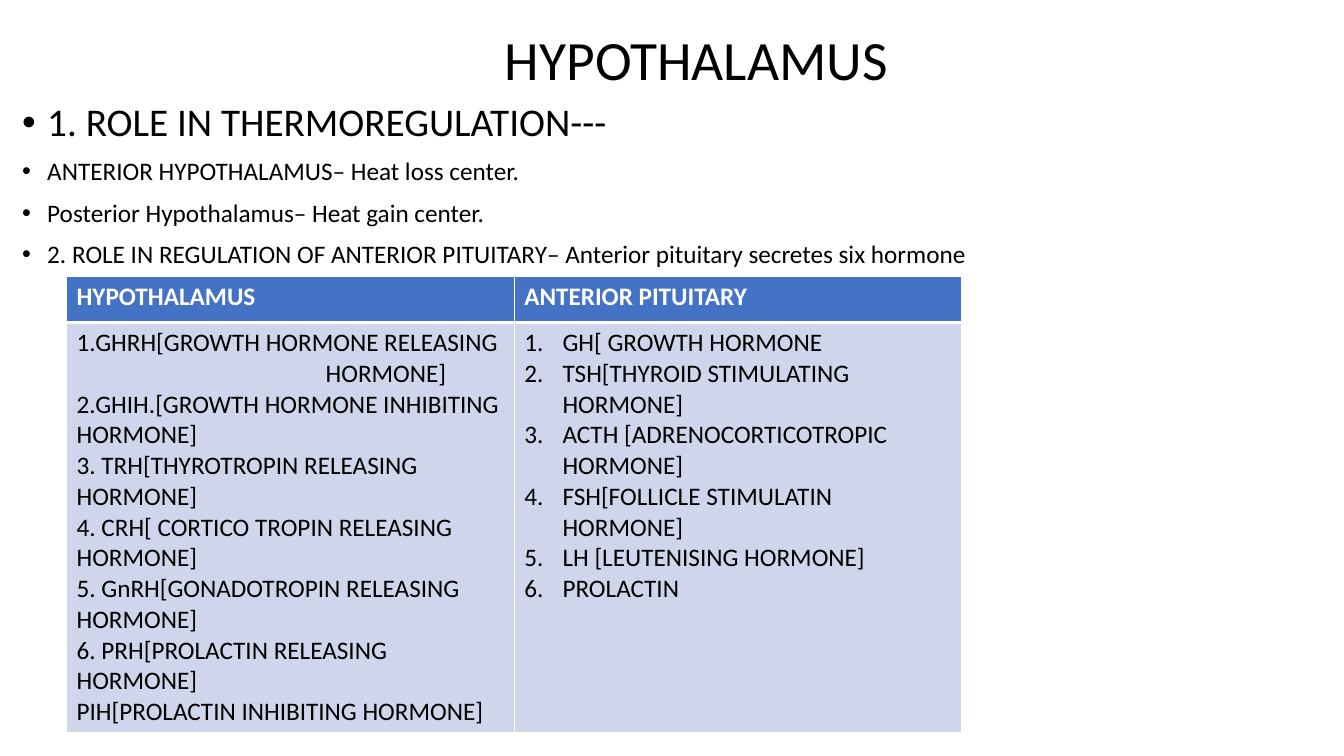
"""Build a slide on the hypothalamus and its regulation of the anterior pituitary."""
import pptx
import pptx.dml.color
import pptx.enum.text
import pptx.oxml
import pptx.oxml.ns
import pptx.util
from pptx.util import Inches

BLACK, WHITE, HEADER_BLUE, BODY_BLUE = "000000", "FFFFFF", "4472C4", "CFD5EA"
ROLES = [
    ("1. ROLE IN THERMOREGULATION---", 28),
    ("ANTERIOR HYPOTHALAMUS– Heat loss center.", 18),
    ("Posterior Hypothalamus– Heat gain center.", 18),
    ("2. ROLE IN REGULATION OF ANTERIOR PITUITARY– Anterior pituitary secretes six hormone", 18),
]
RELEASING_HORMONES = [
    ("1.GHRH[GROWTH HORMONE RELEASING", 0),
    ("HORMONE]", 2.47),
    ("2.GHIH.[GROWTH HORMONE INHIBITING HORMONE]", 0),
    ("3. TRH[THYROTROPIN RELEASING HORMONE]", 0),
    ("4. CRH[ CORTICO TROPIN RELEASING HORMONE]", 0),
    ("5. GnRH[GONADOTROPIN RELEASING HORMONE]", 0),
    ("6. PRH[PROLACTIN RELEASING HORMONE]", 0),
    ("PIH[PROLACTIN INHIBITING HORMONE]", 0),
]
PITUITARY_HORMONES = [
    "GH[ GROWTH HORMONE",
    "TSH[THYROID STIMULATING HORMONE]",
    "ACTH [ADRENOCORTICOTROPIC HORMONE]",
    "FSH[FOLLICLE STIMULATIN HORMONE]",
    "LH [LEUTENISING HORMONE]",
    "PROLACTIN",
]


def rgb(color):
    """Turn a hex string into a colour."""
    return pptx.dml.color.RGBColor.from_string(color)


def xml(tag, body="", **attributes):
    """Make a DrawingML element."""
    listed = " ".join(f'{key}="{value}"' for key, value in attributes.items())
    namespace = pptx.oxml.ns.nsdecls("a")
    return pptx.oxml.parse_xml(f"<a:{tag} {namespace} {listed}>{body}</a:{tag}>")


def add_line(frame, text, size=18, color=BLACK, bold=False, indent=0, hanging=0, bullet=None):
    """Write the next paragraph of a text frame."""
    line = frame.paragraphs[0] if not frame.text else frame.add_paragraph()
    line.text = text
    properties = line._p.get_or_add_pPr()
    properties.set("marL", str(Inches(indent)))
    properties.set("indent", str(Inches(-hanging)))
    if bullet is not None:
        properties.append(xml("buFont", typeface="Arial"))
        properties.append(bullet)
    line.font.name = "Calibri"
    line.font.size = pptx.util.Pt(size)
    line.font.bold = bold
    line.font.color.rgb = rgb(color)
    return line


def add_text_box(slide, left, top, width, height):
    """Add a wrapping text box and return its frame."""
    frame = slide.shapes.add_textbox(
        Inches(left), Inches(top), Inches(width), Inches(height)).text_frame
    frame.word_wrap = True
    return frame


def add_title(slide):
    """Add the slide title."""
    title = add_text_box(slide, 1.18, 0.27, 11.5, 0.7)
    title.vertical_anchor = pptx.enum.text.MSO_ANCHOR.MIDDLE
    add_line(title, "HYPOTHALAMUS", size=39.6, indent=3.73).line_spacing = 0.9


def add_roles(slide):
    """Add the bulleted roles of the hypothalamus."""
    roles = add_text_box(slide, 0.12, 0.97, 13.11, 6.53)
    for number, (text, size) in enumerate(ROLES):
        role = add_line(roles, text, size, indent=0.25, hanging=0.25,
                        bullet=xml("buChar", char="•"))
        role.line_spacing = 0.9
        if number:
            role.space_before = pptx.util.Pt(10)


def style_cell(cell, fill, top=1, bottom=1):
    """Fill a cell and give it white borders."""
    properties = cell._tc.get_or_add_tcPr()
    white = f'<a:solidFill><a:srgbClr val="{WHITE}"/></a:solidFill>'
    for side, width in (("L", 1), ("R", 1), ("T", top), ("B", bottom)):
        properties.append(xml(f"ln{side}", white, w=pptx.util.Pt(width)))
    cell.fill.solid()
    cell.fill.fore_color.rgb = rgb(fill)


def add_hormone_table(slide):
    """Add the table pairing hypothalamic and pituitary hormones."""
    hormones = slide.shapes.add_table(
        2, 2, Inches(0.66), Inches(2.74), Inches(8.88), Inches(4.53)).table
    hormones.rows[0].height = Inches(0.46)
    hormones.rows[1].height = Inches(4.07)
    for column, heading in enumerate(("HYPOTHALAMUS", "ANTERIOR PITUITARY")):
        header = hormones.cell(0, column)
        style_cell(header, HEADER_BLUE, bottom=3)
        add_line(header.text_frame, heading, color=WHITE, bold=True)
        style_cell(hormones.cell(1, column), BODY_BLUE, top=3)
    for text, indent in RELEASING_HORMONES:
        add_line(hormones.cell(1, 0).text_frame, text, indent=indent)
    for text in PITUITARY_HORMONES:
        add_line(hormones.cell(1, 1).text_frame, text, indent=0.38, hanging=0.38,
                 bullet=xml("buAutoNum", type="arabicPeriod"))


def main():
    """Build and save the slide."""
    deck = pptx.Presentation()
    deck.slide_width, deck.slide_height = Inches(13.33), Inches(7.5)
    slide = deck.slides.add_slide(deck.slide_layouts[6])
    add_title(slide)
    add_roles(slide)
    add_hormone_table(slide)
    deck.save("out.pptx")


if __name__ == "__main__":
    main()
